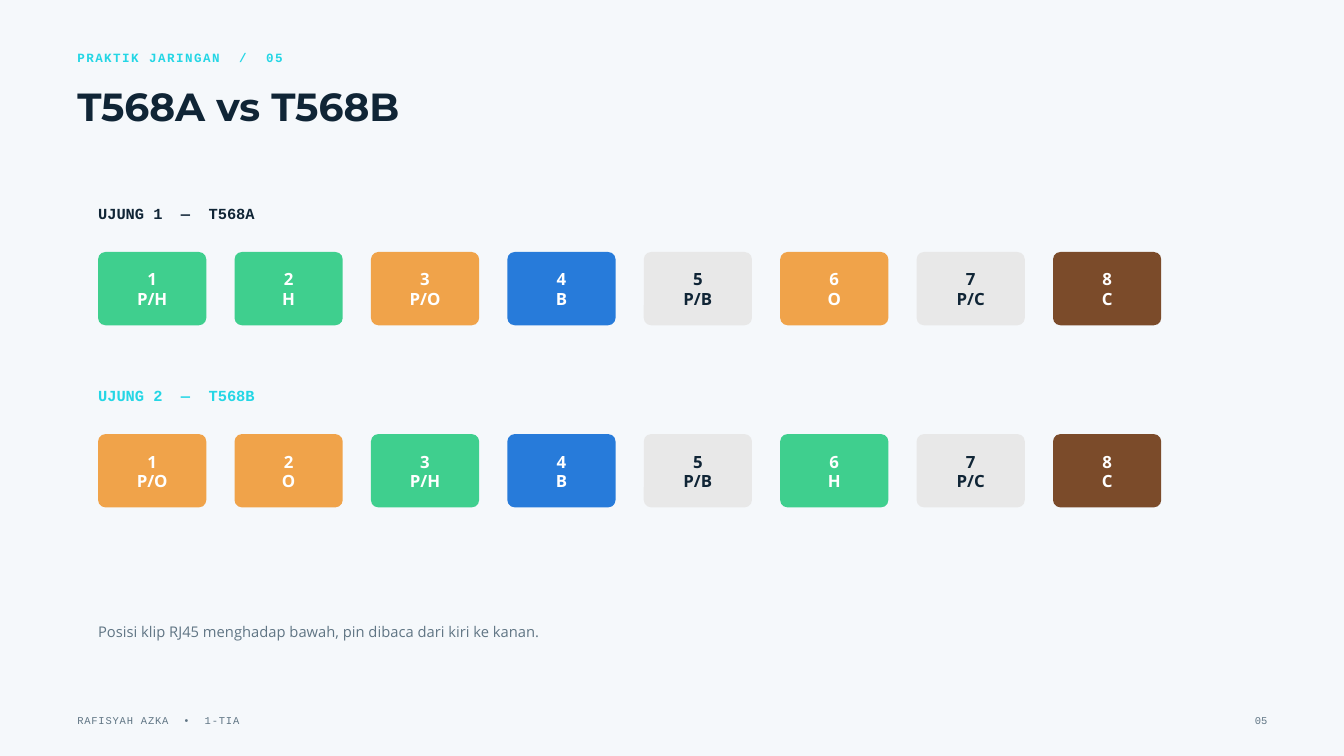
"""Build the slide that compares the T568A and T568B pin orders."""
from pptx import Presentation
from pptx.dml.color import RGBColor
from pptx.enum.shapes import MSO_SHAPE as Shape
from pptx.enum.text import MSO_ANCHOR as Anchor, PP_ALIGN as Align
from pptx.util import Inches, Pt

COLORS = {
    "background": "F5F8FB",
    "navy": "102536",
    "cyan": "24D6E5",
    "slate": "607584",
    "white": "FFFFFF",
    "green": "3FCF8E",
    "orange": "F0A34A",
    "blue": "277BDA",
    "gray": "E8E8E8",
    "brown": "7B4B2A",
}
WIRE_COLORS = {
    "P/H": "green", "H": "green", "P/O": "orange", "O": "orange",
    "B": "blue", "P/B": "gray", "P/C": "gray", "C": "brown",
}
ENDS = [
    ("UJUNG 1  —  T568A", "navy", 2.99,
     ["P/H", "H", "P/O", "B", "P/B", "O", "P/C", "C"]),
    ("UJUNG 2  —  T568B", "cyan", 5.7,
     ["P/O", "O", "P/H", "B", "P/B", "H", "P/C", "C"]),
]
MARGIN, CONTENT_LEFT = 1.15, 1.46
PIN_WIDTH, PIN_HEIGHT, PIN_PITCH = 1.61, 1.09, 2.03
PIN_DROP = 0.76


def rgb(name):
    return RGBColor.from_string(COLORS[name])


def set_text(frame, text, font, size, color, line, bold=False,
             align=Align.LEFT, tracking=0):
    frame.word_wrap = True
    frame.text = text
    for para in frame.paragraphs:
        para.alignment = align
        para.line_spacing = Pt(line)
        for span in para.runs:
            span.font.name = font
            span.font.size = Pt(size)
            span.font.bold = bold
            span.font.color.rgb = rgb(color)
            if tracking:
                span.font._element.set("spc", str(round(tracking * 100)))


def add_label(page, left, top, width, height, text, *style, **options):
    box = page.shapes.add_textbox(
        Inches(left), Inches(top), Inches(width), Inches(height))
    frame = box.text_frame
    frame.margin_left = frame.margin_right = 0
    frame.margin_top = frame.margin_bottom = 0
    set_text(frame, text, *style, **options)


def add_pin(page, left, top, number, wire):
    pin = page.shapes.add_shape(
        Shape.ROUNDED_RECTANGLE, Inches(left), Inches(top),
        Inches(PIN_WIDTH), Inches(PIN_HEIGHT))
    pin.adjustments[0] = 0.1
    pin.shadow.inherit = False
    pin.fill.solid()
    pin.fill.fore_color.rgb = rgb(WIRE_COLORS[wire])
    pin.line.fill.background()
    frame = pin.text_frame
    frame.vertical_anchor = Anchor.MIDDLE
    frame.margin_left = frame.margin_right = frame.margin_bottom = Inches(0.06)
    frame.margin_top = Inches(0.08)
    color = "navy" if WIRE_COLORS[wire] == "gray" else "white"
    set_text(frame, f"{number}\n{wire}", "Open Sans", 18, color, 20.7,
             bold=True, align=Align.CENTER)


def add_cable_end(page, title, color, top, wires):
    add_label(page, CONTENT_LEFT, top, 5.21, 0.3, title,
              "Courier New", 16.5, color, 23.1, bold=True)
    for index, wire in enumerate(wires):
        add_pin(page, CONTENT_LEFT + index * PIN_PITCH, top + PIN_DROP,
                index + 1, wire)


def main():
    deck = Presentation()
    deck.slide_width, deck.slide_height = Inches(20), Inches(11.25)
    page = deck.slides.add_slide(deck.slide_layouts[6])
    page.background.fill.solid()
    page.background.fill.fore_color.rgb = rgb("background")

    add_label(page, MARGIN, 0.71, 7.29, 0.25, "PRAKTIK JARINGAN  /  05",
              "Courier New", 13.5, "cyan", 18.9, bold=True, tracking=1.6)
    add_label(page, MARGIN, 1.29, 15.62, 0.66, "T568A vs T568B",
              "Montserrat", 42, "navy", 45.4, bold=True)
    for end in ENDS:
        add_cable_end(page, *end)
    add_label(page, CONTENT_LEFT, 9.24, 10.42, 0.29,
              "Posisi klip RJ45 menghadap bawah, pin dibaca dari kiri ke kanan.",
              "Open Sans", 15.8, "slate", 21.3)
    add_label(page, MARGIN, 10.6, 5.73, 0.21, "RAFISYAH AZKA  •  1-TIA",
              "Courier New", 11.2, "slate", 15.7, tracking=0.9)
    add_label(page, 17.92, 10.6, 0.94, 0.21, "05",
              "Courier New", 11.2, "slate", 15.7, align=Align.RIGHT)
    deck.save("out.pptx")


if __name__ == "__main__":
    main()
